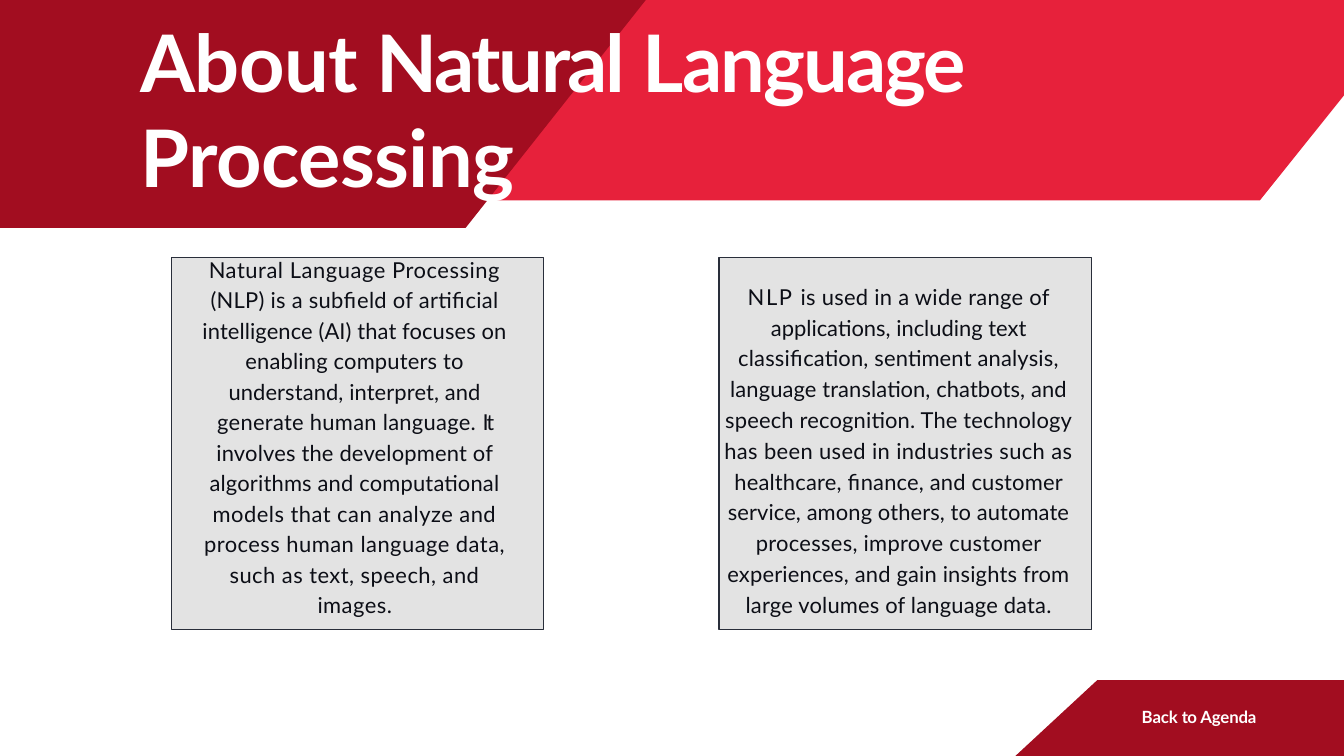
"""Build the slide that introduces natural language processing."""
from dataclasses import dataclass

from pptx import Presentation
from pptx.dml.color import RGBColor
from pptx.enum.shapes import MSO_SHAPE
from pptx.enum.text import MSO_ANCHOR, MSO_AUTO_SIZE, PP_ALIGN
from pptx.slide import Slide
from pptx.text.text import TextFrame
from pptx.util import Inches, Pt


@dataclass(frozen=True)
class Theme:
    """Colours, type sizes and font of the slide."""

    font: str = "Lato"
    bright_red: RGBColor = RGBColor(0xE7, 0x21, 0x3B)
    dark_red: RGBColor = RGBColor(0xA2, 0x0D, 0x20)
    panel: RGBColor = RGBColor(0xE3, 0xE3, 0xE3)
    outline: RGBColor = RGBColor(0x29, 0x2E, 0x3A)
    ink: RGBColor = RGBColor(0x0C, 0x0E, 0x16)
    white: RGBColor = RGBColor(0xFF, 0xFF, 0xFF)
    title_size: float = 85
    body_size: float = 23.5
    link_size: float = 18


@dataclass(frozen=True)
class Band:
    """A slanted block of colour, given by its corners in inches."""

    corners: tuple[tuple[float, float], ...]
    color: RGBColor


@dataclass(frozen=True)
class Phrase:
    """A stretch of text with its letter spacing in points."""

    text: str
    tracking: float


@dataclass(frozen=True)
class Panel:
    """A square with a centred paragraph; lengths in inches."""

    left: float
    text_top: float
    text_height: float
    margin_left: float
    margin_right: float
    line_spacing: float
    phrases: tuple[Phrase, ...]


THEME = Theme()
PANEL_TOP = 3.83
PANEL_SIDE = 5.54

BANDS = (
    Band(((2.04, 0), (20, 0), (20, 1.42), (18.75, 2.98), (4.44, 2.98)), THEME.bright_red),
    Band(((0, 0), (9.61, 0), (6.93, 3.39), (0, 3.39)), THEME.dark_red),
    Band(((20, 11.25), (15.11, 11.25), (16.33, 10.12), (20, 10.12)), THEME.dark_red),
)

HEADING = (
    Phrase("About ", -0.7),
    Phrase("Natural ", -2.4),
    Phrase("Language ", -2),
    Phrase("Processing", -0.6),
)

AGENDA_LINK = (Phrase("Back ", -0.1), Phrase("to ", -0.7), Phrase("Agenda", -0.2))

DEFINITION = Panel(2.55, 3.74, 5.47, 0.4, 0.48, 1.16, (
    Phrase("Natural Language Processing ", 0.6),
    Phrase("(NLP) is a subfield of artificial ", 0.3),
    Phrase("intelligence (AI) that focuses on ", 0.1),
    Phrase("enabling computers to ", 0.2),
    Phrase("understand, interpret, and ", 0.1),
    Phrase("generate human language. ", 0.3),
    Phrase("It ", -2.1),
    Phrase("involves the development of ", 0.2),
    Phrase("algorithms and computational ", 0.2),
    Phrase("models that can analyze and ", 0.5),
    Phrase("process human language data, ", 0.5),
    Phrase("such as text, speech, and images.", 0.5),
))

APPLICATIONS = Panel(10.7, 4.14, 5.05, 0.02, 0.21, 1.17, (
    Phrase("NLP ", 1.8),
    Phrase("is used in a wide range of ", 0.3),
    Phrase("applications, including text ", 0),
    Phrase("classification, sentiment analysis, ", 0.2),
    Phrase("language translation, chatbots, and ", 0.1),
    Phrase("speech recognition. The technology ", 0.2),
    Phrase("has been used in industries such as ", 0.4),
    Phrase("healthcare, finance, and customer ", 0.2),
    Phrase("service, among others, to automate ", 0.1),
    Phrase("processes, improve customer ", 0.3),
    Phrase("experiences, and gain insights from ", 0.2),
    Phrase("large volumes of language data.", 0.2),
))


def draw_band(slide: Slide, band: Band) -> None:
    """Draw a filled polygon without an outline."""
    start, *others = [(Inches(x), Inches(y)) for x, y in band.corners]
    outline = slide.shapes.build_freeform(*start)
    outline.add_line_segments(others, close=True)
    block = outline.convert_to_shape()
    block.shadow.inherit = False
    block.fill.solid()
    block.fill.fore_color.rgb = band.color
    block.line.fill.background()


def write_phrases(frame: TextFrame, phrases: tuple[Phrase, ...], size: float,
                  color: RGBColor, bold: bool, inset_top: float = 0.01) -> None:
    """Fill a frame with one paragraph of tracked phrases."""
    frame.word_wrap = True
    frame.auto_size = MSO_AUTO_SIZE.NONE
    frame.vertical_anchor = MSO_ANCHOR.TOP
    frame.margin_left = frame.margin_right = frame.margin_bottom = 0
    frame.margin_top = Inches(inset_top)
    paragraph = frame.paragraphs[0]
    paragraph.alignment = PP_ALIGN.LEFT
    paragraph.space_before = Pt(1)
    paragraph.font.name = THEME.font
    paragraph.font.size = Pt(size)
    paragraph.font.bold = bold
    paragraph.font.color.rgb = color
    for phrase in phrases:
        run = paragraph.add_run()
        run.text = phrase.text
        run.font._element.set("spc", str(round(phrase.tracking * 100)))


def draw_panel(slide: Slide, panel: Panel) -> None:
    """Draw an outlined square and the paragraph over it."""
    square = slide.shapes.add_shape(
        MSO_SHAPE.RECTANGLE, Inches(panel.left), Inches(PANEL_TOP),
        Inches(PANEL_SIDE), Inches(PANEL_SIDE))
    square.shadow.inherit = False
    square.fill.solid()
    square.fill.fore_color.rgb = THEME.panel
    square.line.color.rgb = THEME.outline
    square.line.width = Pt(1.5)
    frame = slide.shapes.add_textbox(
        Inches(panel.left), Inches(panel.text_top),
        Inches(PANEL_SIDE), Inches(panel.text_height)).text_frame
    write_phrases(frame, panel.phrases, THEME.body_size, THEME.ink, False)
    frame.margin_left = Inches(panel.margin_left)
    frame.margin_right = Inches(panel.margin_right)
    frame.paragraphs[0].alignment = PP_ALIGN.CENTER
    frame.paragraphs[0].line_spacing = panel.line_spacing


def draw_heading(slide: Slide) -> None:
    """Place the title in front of the bands."""
    heading = slide.shapes.title
    heading.element.getparent().append(heading.element)
    heading.left, heading.top = Inches(2.09), Inches(0.17)
    heading.width, heading.height = Inches(13.94), Inches(2.85)
    write_phrases(heading.text_frame, HEADING, THEME.title_size, THEME.white, True, 0.04)
    heading.text_frame.paragraphs[0].line_spacing = Pt(101.3)


def main() -> None:
    """Build and save the presentation."""
    presentation = Presentation()
    presentation.slide_width, presentation.slide_height = Inches(20), Inches(11.25)
    slide = presentation.slides.add_slide(presentation.slide_layouts[5])
    for band in BANDS:
        draw_band(slide, band)
    draw_heading(slide)
    for panel in (DEFINITION, APPLICATIONS):
        draw_panel(slide, panel)
    agenda_link = slide.shapes.add_textbox(
        Inches(16.99), Inches(10.51), Inches(1.94), Inches(0.33))
    write_phrases(agenda_link.text_frame, AGENDA_LINK, THEME.link_size, THEME.white, True)
    presentation.save("out.pptx")


if __name__ == "__main__":
    main()
